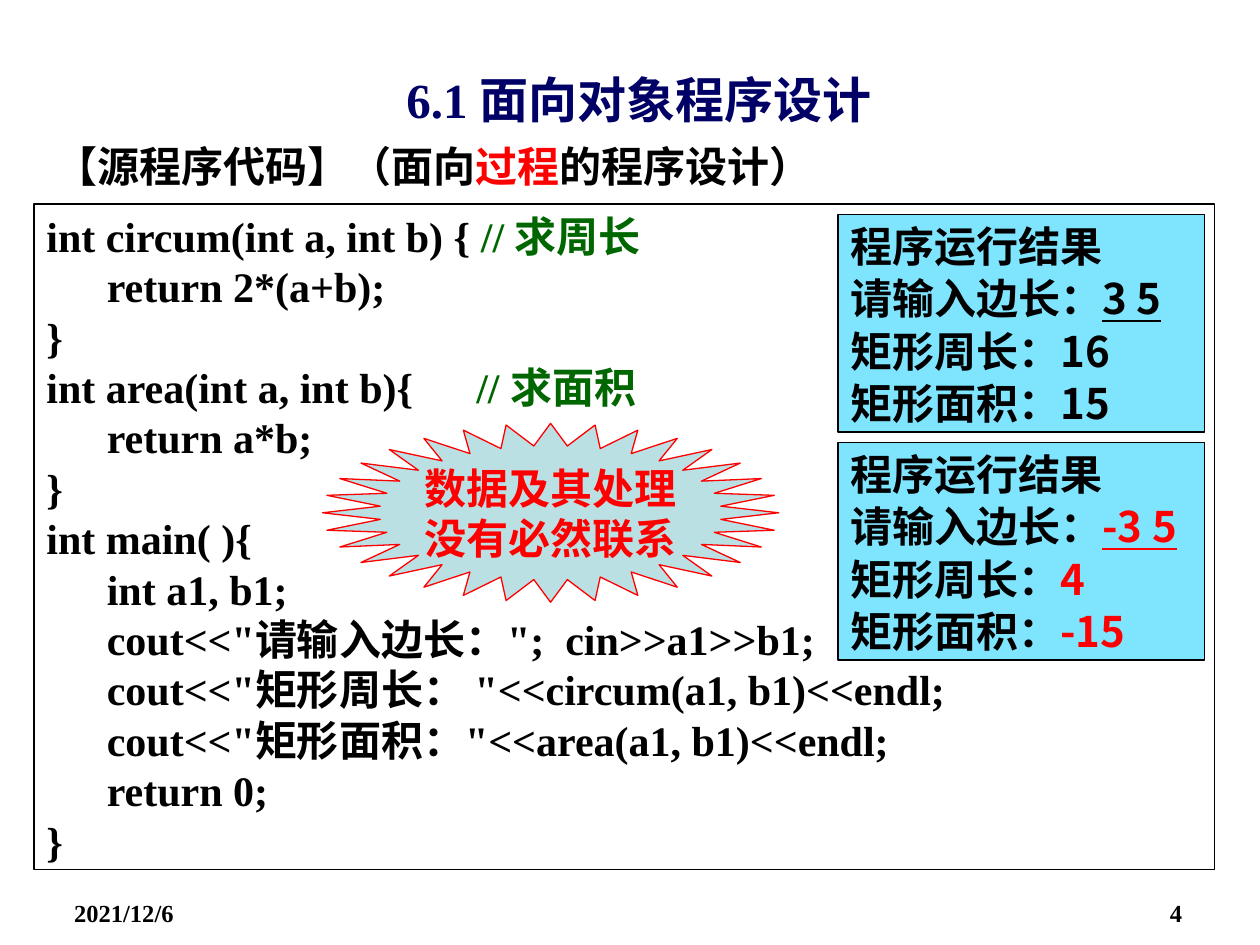
import pptx
import pptx.util
import pptx.dml.color
import pptx.enum.shapes
import pptx.enum.text
import pptx.oxml
import pptx.oxml.ns

Inches = pptx.util.Inches
Pt = pptx.util.Pt
SHAPE = pptx.enum.shapes.MSO_SHAPE
ALIGN = pptx.enum.text.PP_ALIGN
ANCHOR = pptx.enum.text.MSO_ANCHOR

COLORS = {
    "black": "000000",
    "red": "FF0000",
    "green": "006600",
    "navy": "000066",
    "sky": "00CCFF",
    "pale": "BBE0E3",
}
LATIN = "Times New Roman"
CHINESE = "Noto Sans CJK SC"
HANGING = (0.29, -0.29)
CODE_INDENTS = [(0.38, -0.38), (0.78, -0.3)]


def color(name):
    return pptx.dml.color.RGBColor.from_string(COLORS[name])


class SlideBuilder:
    """Holds the text style and the slide being filled."""

    def __init__(self, slide, line_ratio=1.2):
        self.slide = slide
        self.line_ratio = line_ratio

    def fill_text(self, box, lines, size=24, font=LATIN, ink="black", align=ALIGN.LEFT,
                  indents=None, gap=0, anchor=ANCHOR.TOP, wrap=True):
        """Each line is (level, spans); a span is (text, changes to the format)."""
        frame = box.text_frame
        for name, value in {"word_wrap": wrap, "vertical_anchor": anchor}.items():
            setattr(frame, name, value)
        for number, (level, spans) in enumerate(lines):
            para = frame.paragraphs[0] if number == 0 else frame.add_paragraph()
            layout = {
                "level": level,
                "alignment": align,
                "line_spacing": Pt(size * self.line_ratio),
                "space_before": Pt(gap if number else 0),
            }
            for name, value in layout.items():
                setattr(para, name, value)
            if indents:
                margin, indent = indents[level]
                properties = para._p.get_or_add_pPr()
                properties.set("marL", str(Inches(margin)))
                properties.set("indent", str(Inches(indent)))
            for text, changes in spans:
                self.add_span(para, text, size, font, changes.get("ink", ink),
                              changes.get("underline", False))

    def add_span(self, para, text, size, font, ink, underline):
        span = para.add_run()
        span.text = text
        style = {"size": Pt(size), "name": font, "bold": True, "underline": underline}
        for name, value in style.items():
            setattr(span.font, name, value)
        span.font.color.rgb = color(ink)
        east_asian = pptx.oxml.parse_xml(
            f'<a:ea {pptx.oxml.ns.nsdecls("a")} typeface="{CHINESE}"/>')
        span.font._element.find(pptx.oxml.ns.qn("a:latin")).addnext(east_asian)

    def add_text(self, place, lines, **style):
        box = self.slide.shapes.add_textbox(*map(Inches, place))
        self.fill_text(box, lines, **style)

    def add_panel(self, kind, place, lines, fill=None, opacity=100, border="black", **style):
        panel = self.slide.shapes.add_shape(kind, *map(Inches, place))
        panel.shadow.inherit = False
        panel.line.color.rgb = color(border)
        panel.line.width = Pt(0.75)
        if fill:
            panel.fill.solid()
            panel.fill.fore_color.rgb = color(fill)
            if opacity < 100:
                tint = panel._element.spPr.find(".//" + pptx.oxml.ns.qn("a:srgbClr"))
                tint.append(pptx.oxml.parse_xml(
                    f'<a:alpha {pptx.oxml.ns.nsdecls("a")} val="{opacity * 1000}"/>'))
        else:
            panel.fill.background()
        self.fill_text(panel, lines, **style)

    def add_result(self, top, sides, perimeter, area, ink):
        """Adds one program run, its numbers in the given ink."""
        lines = [
            (0, [("程序运行结果", {})]),
            (0, [("请输入边长：", {}), (sides, {"ink": ink, "underline": True})]),
            (0, [("矩形周长：", {}), (perimeter, {"ink": ink})]),
            (0, [("矩形面积：", {}), (area, {"ink": ink})]),
        ]
        self.add_panel(SHAPE.RECTANGLE, (6.65, top, 2.91, 1.73), lines, fill="sky",
                       opacity=50, font=CHINESE, indents=[HANGING], gap=1.2)


def plain(text):
    return [(0, [(text, {})])]


def main():
    deck = pptx.Presentation()
    deck.slide_width, deck.slide_height = Inches(10), Inches(7.5)
    builder = SlideBuilder(deck.slides.add_slide(deck.slide_layouts[6]))

    builder.add_text((0.49, 7.08, 2.33, 0.29), plain("2021/12/6"), size=14)
    builder.add_text((7.15, 7.08, 2.33, 0.29), plain("4"), size=14, align=ALIGN.RIGHT)

    heading = [("【源程序代码】（面向", {}), ("过程", {"ink": "red"}), ("的程序设计）", {})]
    builder.add_text((0.34, 1.07, 9.3, 0.63), [(0, heading)], indents=[HANGING])

    comment = {"ink": "green"}
    code = [
        (0, [("int circum(int a, int b) { ", {}), ("// 求周长", comment)]),
        (1, [("return 2*(a+b);", {})]),
        (0, [("}", {})]),
        (0, [("int area(int a, int b){      ", {}), ("// 求面积", comment)]),
        (1, [("return a*b;", {})]),
        (0, [("}", {})]),
        (0, [("int main( ){", {})]),
        (1, [("int a1, b1;", {})]),
        (1, [('cout<<"请输入边长：";  cin>>a1>>b1;', {})]),
        (1, [('cout<<"矩形周长： "<<circum(a1, b1)<<endl;', {})]),
        (1, [('cout<<"矩形面积："<<area(a1, b1)<<endl;', {})]),
        (1, [("return 0;", {})]),
        (0, [("}", {})]),
    ]
    builder.add_panel(SHAPE.RECTANGLE, (0.27, 1.62, 9.37, 5.28), code, indents=CODE_INDENTS)

    builder.add_result(1.7, "3 5", "16", "15", "black")
    builder.add_result(3.51, "-3 5", "4", "-15", "red")

    builder.add_panel(SHAPE.STAR_32_POINT, (2.56, 3.36, 3.62, 1.42),
                      plain("数据及其处理") + plain("没有必然联系"),
                      fill="pale", border="red", ink="red", align=ALIGN.CENTER,
                      anchor=ANCHOR.MIDDLE, wrap=False)
    builder.add_text((0.57, 0.44, 9, 0.69), plain("6.1 面向对象程序设计"), size=28,
                     ink="navy", align=ALIGN.CENTER, anchor=ANCHOR.MIDDLE)

    deck.save("out.pptx")


if __name__ == "__main__":
    main()
